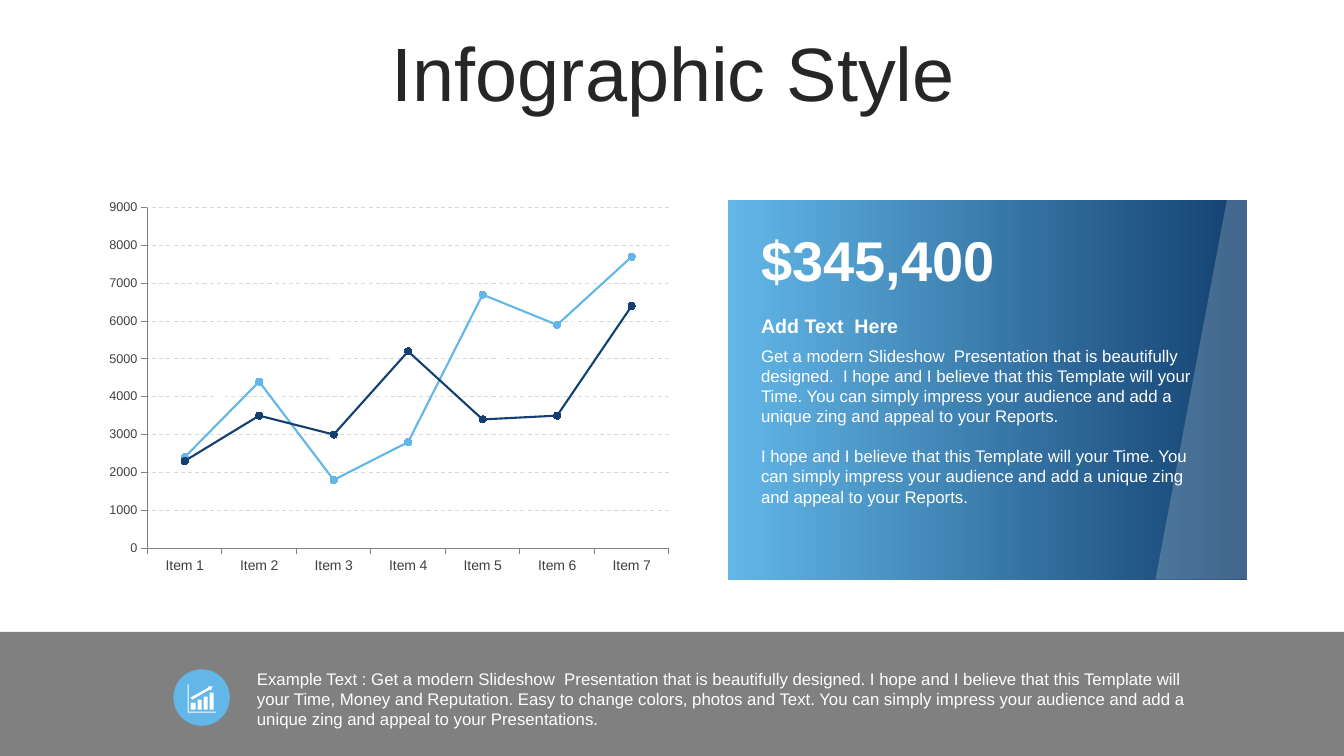
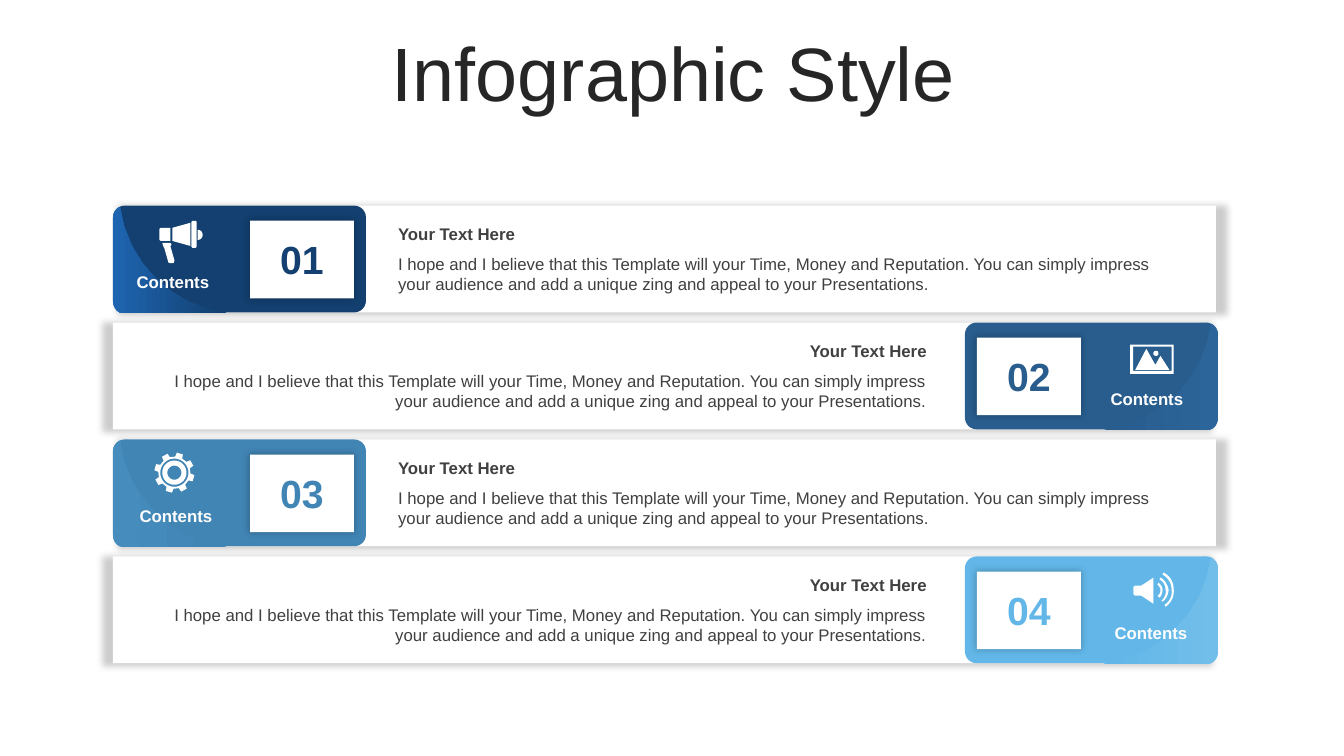
from math import cos, radians, sin, tau

from lxml.etree import SubElement as add_node
from pptx import Presentation
from pptx.chart.data import CategoryChartData as Data
from pptx.dml.color import RGBColor as Rgb
from pptx.enum.chart import XL_CHART_TYPE as Kind
from pptx.enum.chart import XL_MARKER_STYLE as Mark
from pptx.enum.chart import XL_TICK_MARK as Tick
from pptx.enum.dml import MSO_LINE as Dash
from pptx.enum.shapes import MSO_SHAPE as Shape
from pptx.enum.text import MSO_ANCHOR as Anchor
from pptx.enum.text import PP_ALIGN as Align
from pptx.oxml.ns import qn
from pptx.util import Inches, Pt

# Shared look
FONT = "Arial"
WHITE, GRAY, RULE = "FFFFFF", "808080", "D9D9D9"
INK, TEXT = "262626", "404040"
NAVY, SKY = "134070", "62B7E8"
DECK_W, DECK_H = 13.33, 7.5

# Card grid
LEFT, TOP, STEP = 1.12, 2.04, 1.16
CARD_W, CARD_H, BAR_W = 2.51, 1.06, 10.79
RIGHT = 9.57

# Outlines, in hundredths of an inch
CORNER = ("M7 1 C3 3 0 7 0 12 L0 95 C0 102 5 107 11 107 "
          "L114 107 C58 100 14 56 7 1")
GRAPH = ("M3 18 L8 18 L8 25 L3 25 M10 15 L14 15 L14 25 L10 25 "
         "M16 12 L20 12 L20 25 L16 25 M22 8 L26 8 L26 25 L22 25 "
         "M20 2 L25 2 L23 6 L22 5 L5 15 L3 13 L21 3 "
         "M0 0 L1 0 L1 27 L28 27 L28 28 L0 28")
HORN = ("M11 22 L12 23 C12 24 12 25 11 25 L15 39 C15 40 15 41 14 42 "
        "L12 42 C11 42 9 42 9 41 L5 27 C5 27 4 26 4 25 L3 22 "
        "M38 9 C41 9 43 11 43 14 C43 17 41 19 38 19 "
        "M2 7 L11 7 L11 20 L2 20 C1 20 0 19 0 18 L0 9 C0 8 1 7 2 7 "
        "M31 2 L31 25 L13 20 L13 7 "
        "M33 0 L36 0 L37 1 L37 26 L36 27 L33 27 L32 26 L32 1")
PHOTO = ("M26 6 C27 6 28 7 28 9 C28 10 27 11 26 11 "
         "C24 11 23 10 23 9 C23 7 24 6 26 6 "
         "M16 4 L25 20 L30 11 L39 25 L5 25 "
         "M3 2 L3 26 L41 26 L41 2 M0 0 L43 0 L43 29 L0 29")
SOUND = ("M25 10 C27 12 29 14 29 17 C29 20 28 23 26 25 "
         "L24 23 C26 22 27 20 27 17 C27 15 25 13 24 12 "
         "M27 5 C31 7 34 12 35 17 C35 21 33 26 29 29 "
         "L28 28 C31 25 33 21 32 17 C32 13 30 9 26 7 "
         "M20 5 L20 31 L8 23 L3 23 C1 23 0 22 0 20 "
         "L0 16 C0 14 1 13 3 13 L8 13 "
         "M30 0 C36 3 40 9 40 16 C41 23 38 30 32 34 "
         "L31 32 C36 29 39 23 38 17 C38 10 34 5 29 2")

# Wording
PANEL = [
    "Get a modern Slideshow  Presentation that is beautifully designed.  "
    "I hope and I believe that this Template will your Time. You can simply "
    "impress your audience and add a unique zing and appeal to your Reports.",
    "I hope and I believe that this Template will your Time. You can simply "
    "impress your audience and add a unique zing and appeal to your Reports.",
]
NOTE = ("Example Text : Get a modern Slideshow  Presentation that is "
        "beautifully designed. I hope and I believe that this Template will "
        "your Time, Money and Reputation. Easy to change colors, photos and "
        "Text. You can simply impress your audience and add a unique zing and "
        "appeal to your Presentations.")
BODY = ("I hope and I believe that this Template will your Time, Money and "
        "Reputation. You can simply impress your audience and add a unique "
        "zing and appeal to your Presentations.")

SERIES = [
    ("Series 1", WHITE, (4300, 3700, 5000, 3500, 4500, 6700, 3600)),
    ("Series 2", SKY, (2400, 4400, 1800, 2800, 6700, 5900, 7700)),
    ("Series 3", NAVY, (2300, 3500, 3000, 5200, 3400, 3500, 6400)),
]


def color(code):
    return Rgb.from_string(code)


def place(box):
    return [Inches(n) for n in box]


# Fills and shadows
def paint(shape, fill):
    shape.shadow.inherit = False
    shape.line.fill.background()
    shape.fill.solid()
    shape.fill.fore_color.rgb = color(fill)
    return shape


def blend(shape, first, last, angle=0, end=1):
    shape.fill.gradient()
    shape.fill.gradient_angle = angle
    stops = shape.fill.gradient_stops
    for stop, code, spot in zip(stops, (first, last), (0, end)):
        stop.color.rgb = color(code)
        stop.position = spot


def fade(node, share):
    add_node(node, qn("a:alpha"), val=str(share * 1000))


def shade(shape, share):
    effects = shape._element.spPr.find(qn("a:effectLst"))
    glow = add_node(effects, qn("a:outerShdw"), blurRad=str(Pt(5)),
                    sx="102000", sy="102000", algn="ctr", rotWithShape="0")
    fade(add_node(glow, qn("a:srgbClr"), val="000000"), share)


# Shapes
def block(slide, box, fill, kind=Shape.RECTANGLE):
    return paint(slide.shapes.add_shape(kind, *place(box)), fill)


def bend(start, one, two, end, count=8):
    points = []
    for i in range(1, count + 1):
        t = i / count
        u = 1 - t
        points.append(tuple(
            u**3 * a + 3 * u * u * t * b + 3 * u * t * t * c + t**3 * d
            for a, b, c, d in zip(start, one, two, end)))
    return points


def trace(code):
    """Turn an outline code into loops of points in inches."""
    loops = []
    for part in code.split("M")[1:]:
        points = []
        for step in part.replace("C", "LC").split("L"):
            nums = [float(n) / 100 for n in step.strip("C ").split()]
            ends = list(zip(nums[::2], nums[1::2]))
            if step.startswith("C"):
                ends = bend(points[-1], *ends)
            points += ends
        loops.append(points)
    return loops


def ring(radius, count=40):
    return [(radius * cos(tau * i / count), radius * sin(tau * i / count))
            for i in range(count)]


def gear():
    teeth = []
    for mid in range(16, 376, 45):
        for turn, radius in ((-13, 0.16), (-9, 0.2), (9, 0.2), (13, 0.16)):
            angle = radians(mid + turn)
            teeth.append((radius * cos(angle), radius * sin(angle)))
    return [ring(0.07), ring(0.12), ring(0.14), teeth]


def draw(slide, loops, x, y, fill, side=1):
    """Draw loops from (x, y); side -1 mirrors them."""
    loops = [[(Inches(x + side * a), Inches(y + b)) for a, b in loop]
             for loop in loops]
    pen = slide.shapes.build_freeform(*loops[0][0])
    for i, loop in enumerate(loops):
        if i:
            pen.move_to(*loop[0])
        pen.add_line_segments(loop[1:], close=True)
    return paint(pen.convert_to_shape(), fill)


# Text
def write(slide, box, lines, size, ink, bold=False, align=Align.LEFT,
          anchor=Anchor.TOP, inset=0.1, gap=0):
    frame = slide.shapes.add_textbox(*place(box)).text_frame
    frame.word_wrap = True
    frame.vertical_anchor = anchor
    frame.margin_left = frame.margin_right = Inches(inset)
    for i, line in enumerate(lines):
        para = frame.add_paragraph() if i else frame.paragraphs[0]
        para.alignment = align
        if i:
            para.space_before = Pt(gap)
        run = para.add_run()
        run.text = line
        run.font.name, run.font.size, run.font.bold = FONT, Pt(size), bold
        run.font.color.rgb = color(ink)
    return frame


def start(deck, title):
    slide = deck.slides.add_slide(deck.slide_layouts[6])
    frame = write(slide, (0.35, 0.37, 12.66, 0.79), [title], 54, INK,
                  align=Align.CENTER, anchor=Anchor.MIDDLE)
    frame.paragraphs[0].line_spacing = 0.9
    return slide


# Chart
def style(axis, size):
    axis.major_tick_mark, axis.minor_tick_mark = Tick.OUTSIDE, Tick.NONE
    axis.format.line.color.rgb = color(GRAY)
    font = axis.tick_labels.font
    font.name, font.size = FONT, Pt(size)
    font.color.rgb = color(TEXT)


def plot(slide, box):
    data = Data()
    data.categories = [f"Item {n}" for n in range(1, 8)]
    for name, _, values in SERIES:
        data.add_series(name, values)
    chart = slide.shapes.add_chart(Kind.LINE_MARKERS, *place(box), data).chart
    chart.has_title = chart.has_legend = False
    chart.font.name, chart.font.size = FONT, Pt(18)
    chart.plots[0].vary_by_categories = False
    style(chart.category_axis, 10)
    scale = chart.value_axis
    style(scale, 9)
    scale.minimum_scale, scale.maximum_scale = 0, 9000
    scale.major_unit = 1000
    grid = scale.major_gridlines.format.line
    grid.color.rgb = color(RULE)
    grid.width, grid.dash_style = Pt(0.75), Dash.DASH
    for line, (_, code, _) in zip(chart.plots[0].series, SERIES):
        line.smooth = False
        line.format.line.color.rgb = color(code)
        line.format.line.width = Pt(1.5)
        mark = line.marker
        mark.style, mark.size = Mark.CIRCLE, 5
        mark.format.fill.solid()
        mark.format.fill.fore_color.rgb = color(code)
        mark.format.line.color.rgb = color(code)


# Slides
def report(deck):
    slide = start(deck, "Infographic Style")
    plot(slide, (0.97, 1.91, 5.78, 3.86))
    # Blue panel with its slanted edge
    blend(block(slide, (7.22, 1.98, 5.15, 3.77), SKY), SKY, NAVY)
    slant = [(0.91, 3.77), (0.91, 0), (0.71, 0), (0, 3.77)]
    edge = draw(slide, [slant], 11.46, 1.98, WHITE)
    fade(edge._element.spPr.find(qn("a:solidFill"))[0], 20)
    write(slide, (7.45, 2.19, 4.64, 0.77), ["$345,400"], 40, WHITE, True,
          anchor=Anchor.MIDDLE)
    write(slide, (7.45, 3.06, 4.64, 0.34), ["Add Text  Here"], 14, WHITE,
          True, anchor=Anchor.MIDDLE)
    write(slide, (7.45, 3.38, 4.64, 1.72), PANEL, 12, WHITE, gap=14)
    # Bottom band
    block(slide, (0, 6.27, DECK_W, DECK_H - 6.27), GRAY)
    block(slide, (1.72, 6.64, 0.56, 0.56), SKY, Shape.OVAL)
    draw(slide, trace(GRAPH), 1.86, 6.79, WHITE)
    write(slide, (2.45, 6.58, 9.43, 0.71), [NOTE], 12, WHITE)


def card(slide, row, fill, tint, label, icon):
    y = TOP + row * STEP
    flip = row % 2 == 1
    x, side = (RIGHT, -1) if flip else (LEFT, 1)

    def inner(left, width):
        return x + (CARD_W - left - width if flip else left)

    bar = block(slide, (LEFT if flip else 1.27, y, BAR_W, CARD_H), WHITE)
    shade(bar, 20)
    back = block(slide, (x, y, CARD_W, CARD_H), fill, Shape.ROUNDED_RECTANGLE)
    back.adjustments[0] = 0.11
    outer = x + CARD_W if flip else x
    bow = draw(slide, trace(CORNER), outer, y, fill, side)
    blend(bow, tint, fill, 180 if flip else 0, 0.94)
    shade(block(slide, (inner(1.36, 1.03), y + 0.15, 1.03, 0.77), WHITE), 22)
    write(slide, (inner(1.51, 0.73), y + 0.25, 0.73, 0.57), [f"{row + 1:02}"],
          28, fill, True, Align.CENTER, inset=0.12)
    write(slide, (label, y + 0.61, 1.01, 0.3), ["Contents"], 12, WHITE, True,
          Align.CENTER, inset=0.12)
    loops, left, top = icon
    draw(slide, loops, left, top, WHITE)
    # Heading and body beside the card
    left, width, align = ((1.54, 7.75, Align.RIGHT) if flip
                          else (3.85, 7.8, Align.LEFT))
    write(slide, (left, y + 0.13, width, 0.3), ["Your Text Here"], 12, TEXT,
          True, align)
    write(slide, (left, y + 0.43, width, 0.71), [BODY], 12, TEXT, align=align)


def agenda(deck):
    slide = start(deck, "Infographic Style")
    cards = [
        (NAVY, "1E65B1", 1.21, (trace(HORN), 1.58, 2.19)),
        ("285D8D", "2C659A", 10.87, (trace(PHOTO), 11.21, 3.42)),
        ("4185B5", "468CBD", 1.24, (gear(), 1.73, 4.69)),
        (SKY, "72BEEA", 10.91, (trace(SOUND), 11.24, 5.68)),
    ]
    for row, parts in enumerate(cards):
        card(slide, row, *parts)


def main():
    deck = Presentation()
    deck.slide_width, deck.slide_height = Inches(DECK_W), Inches(DECK_H)
    report(deck)
    agenda(deck)
    deck.save("out.pptx")


if __name__ == "__main__":
    main()
